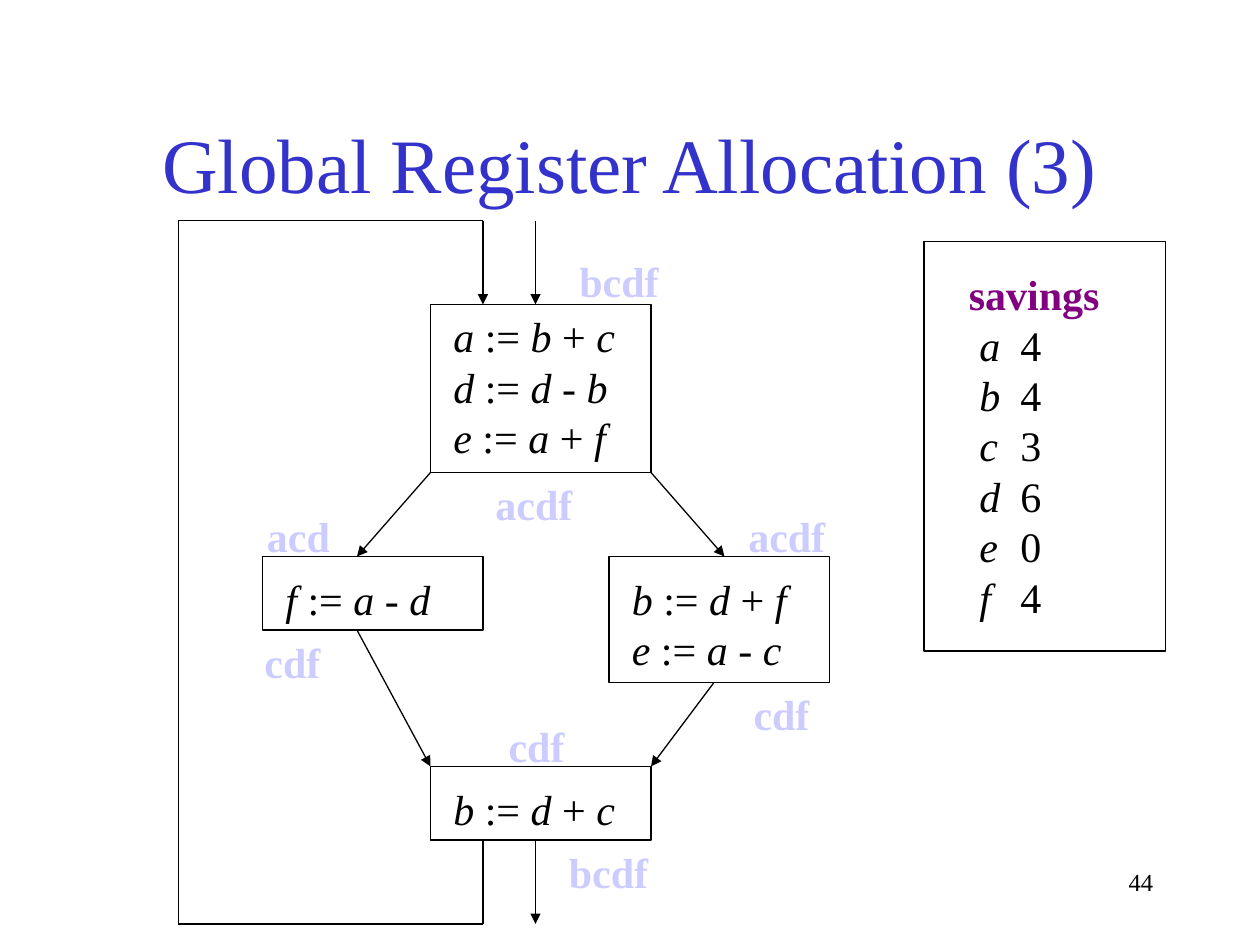
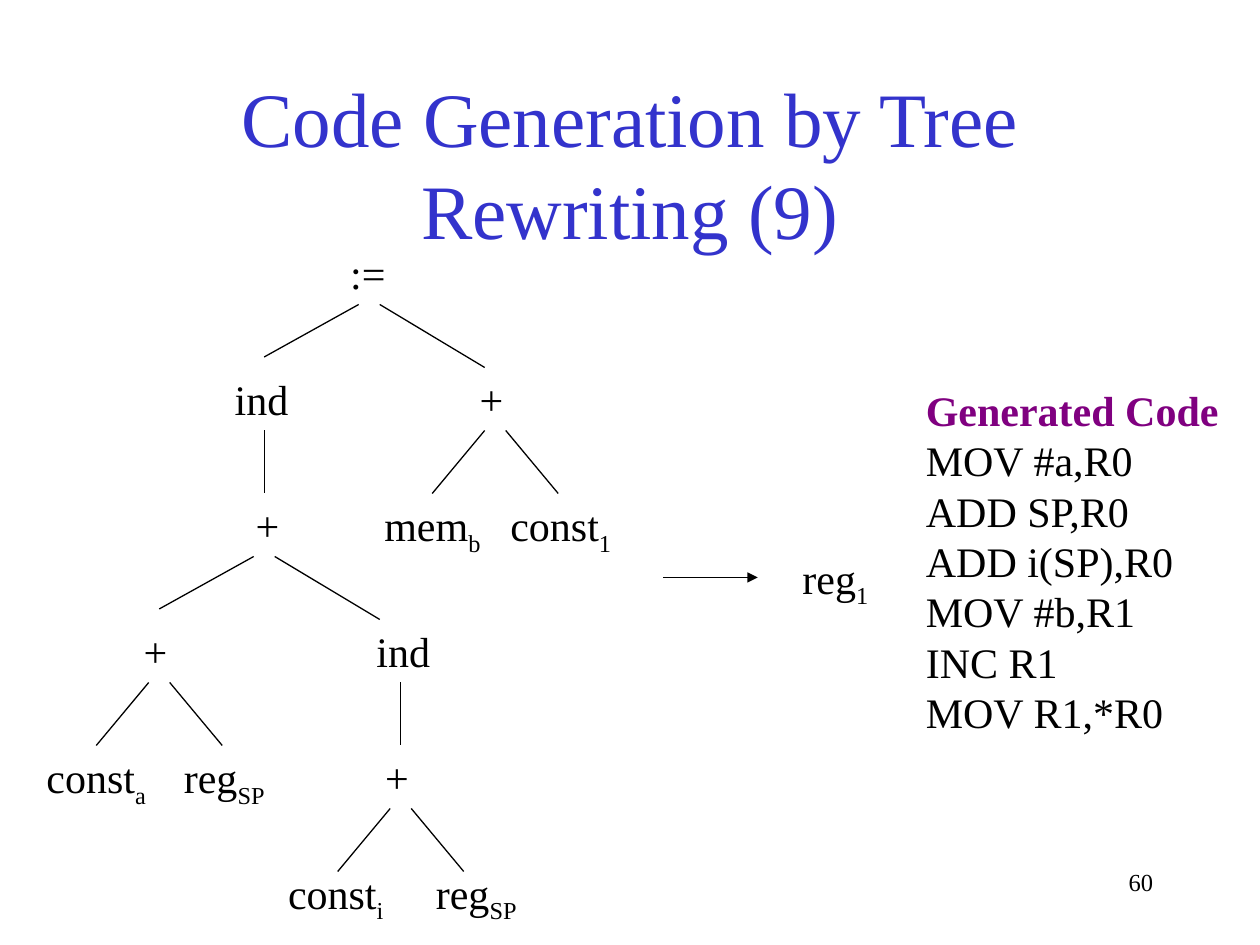
from dataclasses import dataclass

from lxml.etree import SubElement
from pptx import Presentation
from pptx.dml.color import RGBColor
from pptx.enum.shapes import MSO_CONNECTOR, MSO_SHAPE
from pptx.enum.text import MSO_ANCHOR, MSO_AUTO_SIZE, PP_ALIGN
from pptx.oxml.ns import qn
from pptx.util import Pt


@dataclass(frozen=True)
class Theme:
    font: str = "Times New Roman"
    ink: str = "000000"
    paper: str = "FFFFFF"
    title: str = "3333CC"
    head: str = "800080"
    live: str = "CCCCFF"
    big: int = 44
    body: int = 24
    small: int = 14
    rule: float = 0.75


T = Theme()


# A line is a list of runs; a run is (text, style, colour).
# Styles: "" plain, "i" italic, "b" bold, "s" subscript.
def write(slide, area, lines, size=T.body, align=None, wrap=False, stops=()):
    box = slide.shapes.add_textbox(*map(Pt, area))
    frame = box.text_frame
    frame.word_wrap = wrap
    if not wrap:
        frame.auto_size = MSO_AUTO_SIZE.SHAPE_TO_FIT_TEXT
    for n, line in enumerate(lines):
        para = frame.add_paragraph() if n else frame.paragraphs[0]
        para.alignment = align
        if stops:
            tabs = SubElement(para._p.get_or_add_pPr(), qn("a:tabLst"))
            for stop in stops:
                SubElement(tabs, qn("a:tab"), pos=str(Pt(stop)), algn="l")
        for text, style, tint in line:
            run = para.add_run()
            run.text = text
            font = run.font
            font.name, font.size = T.font, Pt(size)
            font.bold, font.italic = style == "b", style == "i"
            font.color.rgb = RGBColor.from_string(tint)
            if style == "s":
                run._r.get_or_add_rPr().set("baseline", "-25000")
    return frame


def draw(slide, x1, y1, x2, y2, arrow=False):
    line = slide.shapes.add_connector(
        MSO_CONNECTOR.STRAIGHT, Pt(x1), Pt(y1), Pt(x2), Pt(y2))
    line.line.color.rgb = RGBColor.from_string(T.ink)
    line.line.width = Pt(T.rule)
    if arrow:
        SubElement(line.line._get_or_add_ln(), qn("a:tailEnd"), type="triangle")
    SubElement(line._element.spPr, qn("a:effectLst"))


deck = Presentation()
deck.slide_width, deck.slide_height = Pt(720), Pt(540)

# Shared title and page number
pages = []
for title, number in (("Global Register Allocation (3)", "44"),
                      ("Code Generation by Tree Rewriting (9)", "60")):
    page = deck.slides.add_slide(deck.slide_layouts[6])
    frame = write(page, (54, 48, 612, 90), [[(title, "", T.title)]],
                  T.big, PP_ALIGN.CENTER, True)
    frame.vertical_anchor = MSO_ANCHOR.MIDDLE
    write(page, (516, 492, 150, 36), [[(number, "", T.ink)]],
          T.small, PP_ALIGN.RIGHT, True)
    pages.append(page)
flow, tree = pages

# Savings table lines
savings = [[("savings", "b", T.head)]]
for name, count in zip("abcdef", "443604"):
    savings.append([("\t", "", T.ink), (name, "i", T.ink),
                    ("\t" + count, "", T.ink)])

# Basic blocks: frame, text area, statements
blocks = [
    ((246, 174, 126, 96), (252, 174, 108, 93.5),
     ("a := b + c", "d := d - b", "e := a + f")),
    ((150, 318, 126, 42), (156, 324, 98, 36), ("f := a - d",)),
    ((246, 438, 126, 42), (252, 444, 108, 36), ("b := d + c",)),
    ((348, 318, 126, 72), (354, 324, 104, 65), ("b := d + f", "e := a - c")),
    ((528, 138, 138, 234), (546.5, 150, 90, 209), ()),
]
for edge, area, code in blocks:
    rect = flow.shapes.add_shape(MSO_SHAPE.RECTANGLE, *map(Pt, edge))
    rect.shadow.inherit = False
    rect.fill.solid()
    rect.fill.fore_color.rgb = RGBColor.from_string(T.paper)
    rect.line.color.rgb = RGBColor.from_string(T.ink)
    rect.line.width = Pt(T.rule)
    lines = []
    for text in code:
        goal, sign, left, mark, right = text.split()
        lines.append([(goal, "i", T.ink), (f" {sign} ", "", T.ink),
                      (left, "i", T.ink), (f" {mark} ", "", T.ink),
                      (right, "i", T.ink)])
    if code:
        write(flow, area, lines)
    else:
        write(flow, area, savings, stops=(6, 29.5))

# Control flow arrows
for ends in ((306, 126, 306, 174), (408, 390, 372, 438), (204, 360, 246, 438),
             (306, 480, 306, 528), (246, 270, 204, 318), (372, 270, 414, 318),
             (276, 126, 276, 174)):
    draw(flow, *ends, arrow=True)

# Loop back to the first block
loop = [(276, 480), (276, 528), (102, 528), (102, 126), (276, 126)]
for start, end in zip(loop, loop[1:]):
    draw(flow, *start, *end)

# Live variables
for name, x, y, wide in (
        ("bcdf", 324, 142.5, 61), ("acdf", 420.5, 288, 60),
        ("acd", 145.5, 288, 52), ("cdf", 283.5, 408, 48),
        ("acdf", 276, 270, 60), ("cdf", 144, 360, 48),
        ("cdf", 423.5, 390, 48), ("bcdf", 318, 480, 61)):
    write(flow, (x, y, wide, 36), [[(name, "b", T.live)]])

# Tree nodes: name, subscript, left, top, width
for name, sub, x, y, wide in (
        (":=", "", 193, 138, 35),
        ("ind", "", 127, 210, 46), ("+", "", 267, 210, 29),
        ("+", "", 139, 282, 29), ("mem", "b", 212.5, 282, 71),
        ("const", "1", 284.5, 282, 73), ("reg", "1", 451.5, 312, 53),
        ("+", "", 75, 354, 29), ("ind", "", 208, 354, 46),
        ("const", "a", 19.5, 426, 72), ("reg", "SP", 98, 426, 62),
        ("+", "", 213, 426, 29),
        ("const", "i", 157.5, 492, 70), ("reg", "SP", 242, 492, 62)):
    runs = [(name, "", T.ink)]
    if sub:
        runs.append((sub, "s", T.ink))
    write(tree, (x, y, wide, 40 if sub else 36), [runs])

# Tree branches: wide forks, narrow forks, stems
for x, y in ((211, 174), (151, 318)):
    draw(tree, x - 6, y, x - 60, y + 30)
    draw(tree, x + 6, y, x + 66, y + 36)
for x, y in ((283, 246), (91, 390), (229, 462)):
    for side in (-1, 1):
        draw(tree, x + 6 * side, y, x + 36 * side, y + 36)
for x, y in ((151, 246), (229, 390)):
    draw(tree, x, y, x, y + 36)
draw(tree, 379, 330, 433, 330, arrow=True)

# Generated code
code = [[("Generated Code", "b", T.head)]]
for text in ("MOV #a,R0", "ADD SP,R0", "ADD i(SP),R0",
             "MOV #b,R1", "INC R1", "MOV R1,*R0"):
    code.append([(text, "", T.ink)])
write(tree, (522, 216, 183, 209), code)

deck.save("out.pptx")
